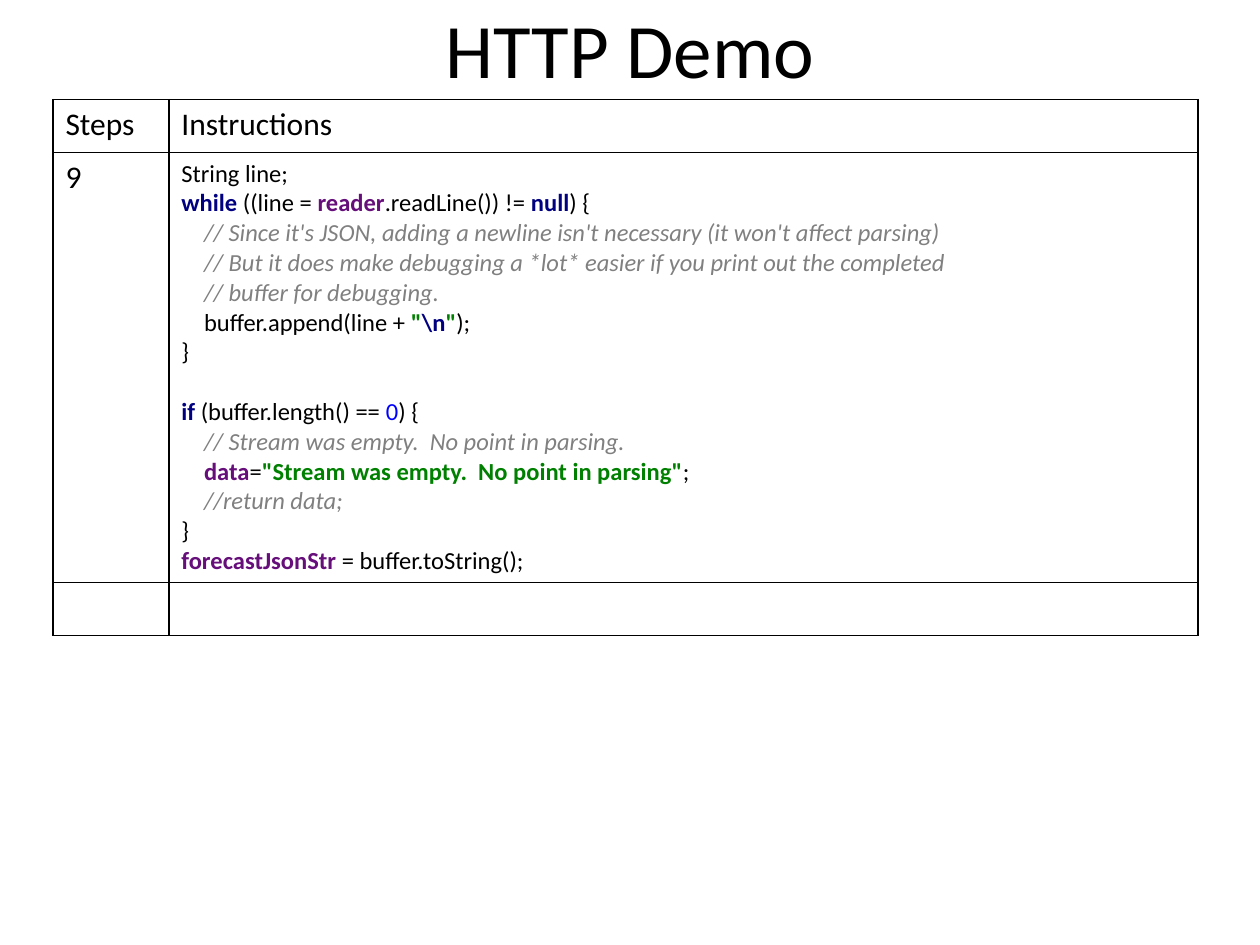
import pptx
import pptx.dml.color
import pptx.enum.text
import pptx.oxml
import pptx.oxml.ns
import pptx.util

Inches = pptx.util.Inches
Pt = pptx.util.Pt
RGBColor = pptx.dml.color.RGBColor

BLACK = RGBColor(0x00, 0x00, 0x00)
NAVY = RGBColor(0x00, 0x00, 0x80)
PURPLE = RGBColor(0x66, 0x0E, 0x7A)
GRAY = RGBColor(0x80, 0x80, 0x80)
GREEN = RGBColor(0x00, 0x80, 0x00)
BLUE = RGBColor(0x00, 0x00, 0xFF)

FONT = "Calibri"
COLUMN_WIDTHS = (0.92, 8.17)
ROW_HEIGHTS = (0.42, 3.41, 0.42)
CODE_SIZE = 14
CODE_INDENT = Inches(0.18)
CODE_LINE = Pt(17)

SYNTAX = {
    "plain": {"color": BLACK},
    "keyword": {"color": NAVY, "bold": True},
    "field": {"color": PURPLE, "bold": True},
    "comment": {"color": GRAY, "italic": True},
    "string": {"color": GREEN, "bold": True},
    "number": {"color": BLUE},
}

# Each block is a list of lines: indent level, then (syntax, text) runs.
CODE_BLOCKS = [
    [
        (0, [("plain", "String line;")]),
        (0, [("keyword", "while "), ("plain", "((line = "), ("field", "reader"),
             ("plain", ".readLine()) != "), ("keyword", "null"), ("plain", ") {")]),
        (1, [("comment", "// Since it's JSON, adding a newline isn't necessary "
                         "(it won't affect parsing)")]),
        (1, [("comment", "// But it does make debugging a *lot* easier "
                         "if you print out the completed")]),
        (1, [("comment", "// buffer for debugging.")]),
        (1, [("plain", "buffer.append(line + "), ("string", '"'), ("keyword", "\\n"),
             ("string", '"'), ("plain", ");")]),
        (0, [("plain", "}")]),
    ],
    [
        (0, [("keyword", "if "), ("plain", "(buffer.length() == "), ("number", "0"),
             ("plain", ") {")]),
        (1, [("comment", "// Stream was empty.  No point in parsing.")]),
        (1, [("field", "data"), ("plain", "="),
             ("string", '"Stream was empty.  No point in parsing"'), ("plain", ";")]),
        (1, [("comment", "//return data;")]),
        (0, [("plain", "}")]),
        (0, [("field", "forecastJsonStr "), ("plain", "= buffer.toString();")]),
    ],
]


def add_run(paragraph, text, size, color=BLACK, **font_values):
    run = paragraph.add_run()
    run.text = text
    run.font.color.rgb = color
    for name, value in {"name": FONT, "size": Pt(size), **font_values}.items():
        setattr(run.font, name, value)


def add_title(slide, text):
    title = slide.shapes.title
    box = {"left": 0.5, "top": -0.25, "width": 9, "height": 1.25}
    for name, value in box.items():
        setattr(title, name, Inches(value))
    title.text_frame.vertical_anchor = pptx.enum.text.MSO_ANCHOR.MIDDLE
    paragraph = title.text_frame.paragraphs[0]
    paragraph.alignment = pptx.enum.text.PP_ALIGN.CENTER
    add_run(paragraph, text, 44)


def outline_cell(cell):
    """Clear the cell's fill and draw a thin black line on all four sides."""
    cell.fill.background()
    properties = cell._tc.get_or_add_tcPr()
    for position, side in enumerate(("lnL", "lnR", "lnT", "lnB")):
        properties.insert(position, pptx.oxml.parse_xml(
            f'<a:{side} {pptx.oxml.ns.nsdecls("a")} w="{Pt(1)}"><a:solidFill>'
            f'<a:srgbClr val="{BLACK}"/></a:solidFill></a:{side}>'))


def add_table(slide):
    table = slide.shapes.add_table(
        len(ROW_HEIGHTS), len(COLUMN_WIDTHS), Inches(0.42), Inches(0.79),
        Inches(sum(COLUMN_WIDTHS)), Inches(sum(ROW_HEIGHTS))).table
    table.first_row = table.horz_banding = False
    for column, width in zip(table.columns, COLUMN_WIDTHS):
        column.width = Inches(width)
    for row, height in zip(table.rows, ROW_HEIGHTS):
        row.height = Inches(height)
    for cell in table.iter_cells():
        outline_cell(cell)
    return table


def write_code(text_frame):
    paragraph = text_frame.paragraphs[0]
    for block_number, block in enumerate(CODE_BLOCKS):
        for line_number, (level, runs) in enumerate(block):
            if block_number or line_number:
                paragraph = text_frame.add_paragraph()
            if block_number and not line_number:
                paragraph.space_before = CODE_LINE
            if level:
                paragraph._p.get_or_add_pPr().set("marL", str(level * CODE_INDENT))
            for syntax, text in runs:
                add_run(paragraph, text, CODE_SIZE, **SYNTAX[syntax])


def main():
    presentation = pptx.Presentation()
    presentation.slide_width = Inches(10)
    presentation.slide_height = Inches(7.5)
    title_only = presentation.slide_layouts[5]
    slide = presentation.slides.add_slide(title_only)

    add_title(slide, "HTTP Demo")
    table = add_table(slide)
    labels = {(0, 0): "Steps", (0, 1): "Instructions", (1, 0): "9"}
    for (row, column), text in labels.items():
        add_run(table.cell(row, column).text_frame.paragraphs[0], text, 18)
    write_code(table.cell(1, 1).text_frame)
    presentation.save("out.pptx")


if __name__ == "__main__":
    main()
